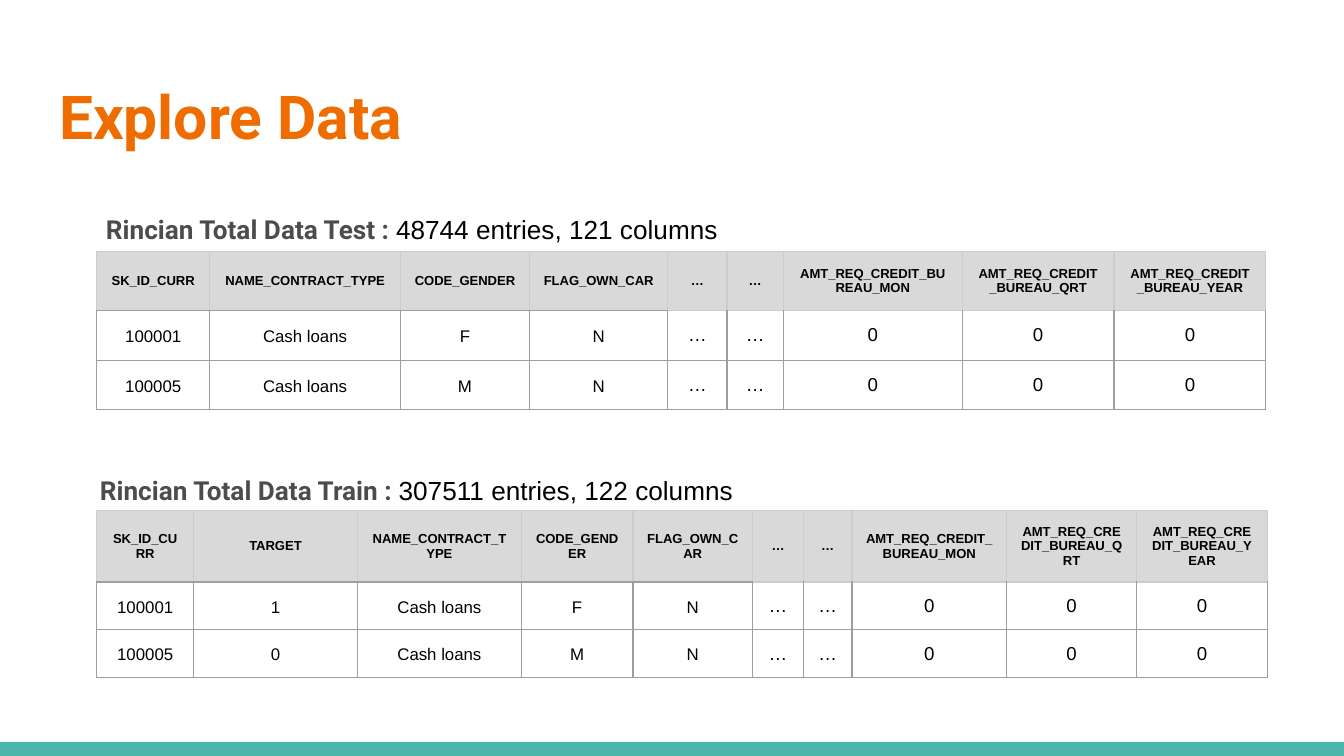
import dataclasses
import typing

import lxml.etree
import pptx
import pptx.dml.color
import pptx.enum.shapes
import pptx.enum.text
import pptx.oxml.ns
import pptx.util

Inches = pptx.util.Inches
Align = pptx.enum.text.PP_ALIGN
Anchor = pptx.enum.text.MSO_ANCHOR


@dataclasses.dataclass(frozen=True)
class Theme:
    orange: str = "EF6C00"
    teal: str = "4DB6AC"
    grey: str = "4C4C4C"
    black: str = "000000"
    head: str = "D9D9D9"
    pale: str = "CCCCCC"
    line: str = "9E9E9E"
    sans: str = "Arial"
    bold: str = "Roboto"
    title: float = 32.4
    label: float = 14
    small: float = 7
    body: float = 9
    large: float = 10
    edge: float = 0.75


THEME = Theme()


class Box(typing.NamedTuple):
    left: float
    top: float
    width: float
    height: float

    def size(self) -> list:
        return [Inches(n) for n in self]


@dataclasses.dataclass(frozen=True)
class Panel:
    name: str
    count: str
    label: Box
    align: Align
    left: float
    top: float
    widths: list
    heights: list
    heads: list
    rows: list


TAIL = ["…", "…"] + [f"AMT_REQ_CREDIT_BUREAU_{part}" for part in ("MON", "QRT", "YEAR")]
BLANK = ["…", "…", "0", "0", "0"]

PANELS = [
    Panel("Rincian Total Data Train : ", "307511 entries, 122 columns",
          Box(0.57, 3.42, 5.06, 0.44), Align.CENTER, 0.72, 3.8,
          [0.72, 1.22, 1.22, 0.83, 0.89, 0.38, 0.36, 1.15, 0.97, 0.97],
          [0.53, 0.35, 0.35],
          ["SK_ID_CURR", "TARGET", "NAME_CONTRACT_TYPE", "CODE_GENDER", "FLAG_OWN_CAR"],
          [["100001", "1", "Cash loans", "F", "N"],
           ["100005", "0", "Cash loans", "M", "N"]]),
    Panel("Rincian Total Data Test : ", "48744 entries, 121 columns",
          Box(0.69, 1.48, 4.95, 0.44), Align.LEFT, 0.72, 1.87,
          [0.84, 1.42, 0.96, 1.03, 0.44, 0.42, 1.33, 1.13, 1.13],
          [0.44, 0.37, 0.37],
          ["SK_ID_CURR", "NAME_CONTRACT_TYPE", "CODE_GENDER", "FLAG_OWN_CAR"],
          [["100001", "Cash loans", "F", "N"],
           ["100005", "Cash loans", "M", "N"]]),
]


def tint(code: str) -> pptx.dml.color.RGBColor:
    return pptx.dml.color.RGBColor.from_string(code)


def apply(item: typing.Any, form: dict) -> None:
    for key, value in form.items():
        setattr(item, key, value)


def pad(inset: float) -> dict:
    return {f"margin_{side}": Inches(inset) for side in ("left", "top", "right", "bottom")}


def write(para: typing.Any, text: str, size: float, face: str, code: str, bold: bool) -> None:
    run = para.add_run()
    run.text = text
    apply(run.font, {"size": pptx.util.Pt(size), "name": face, "bold": bold})
    run.font.color.rgb = tint(code)


def rule(cell: typing.Any, edges: dict) -> None:
    """Draw the cell borders; edges maps L, R, T and B to colours."""
    props = cell._tc.get_or_add_tcPr()
    for side, code in edges.items():
        line = lxml.etree.SubElement(props, pptx.oxml.ns.qn(f"a:ln{side}"),
                                     w=str(pptx.util.Pt(THEME.edge)))
        fill = lxml.etree.SubElement(line, pptx.oxml.ns.qn("a:solidFill"))
        lxml.etree.SubElement(fill, pptx.oxml.ns.qn("a:srgbClr"), val=code)


def draw_cell(cell: typing.Any, text: str, row: int, tail: bool) -> None:
    head = row == 0
    key = not head and not tail
    apply(cell, {"vertical_anchor": Anchor.MIDDLE, **pad(0.06 if key else 0.1)})
    para = cell.text_frame.paragraphs[0]
    form = {"alignment": Align.CENTER}
    if key:
        form.update(line_spacing=1.15, space_after=pptx.util.Pt(9))
    apply(para, form)
    size = THEME.small if head else THEME.large if tail else THEME.body
    write(para, text, size, THEME.sans, THEME.black, head)

    # The line under the header is pale only above the tail columns
    edges = dict.fromkeys("LRTB", THEME.pale if head else THEME.line)
    if row < 2:
        edges["B" if head else "T"] = THEME.pale if tail else THEME.line
    rule(cell, edges)
    if head:
        cell.fill.solid()
        cell.fill.fore_color.rgb = tint(THEME.head)
    else:
        cell.fill.background()


def draw_table(slide: typing.Any, panel: Panel) -> None:
    grid = [panel.heads + TAIL] + [row + BLANK for row in panel.rows]
    area = Box(panel.left, panel.top, sum(panel.widths), sum(panel.heights))
    table = slide.shapes.add_table(len(grid), len(grid[0]), *area.size()).table
    apply(table, {"first_row": False, "horz_banding": False})
    for col, width in zip(table.columns, panel.widths):
        col.width = Inches(width)
    for row, height in zip(table.rows, panel.heights):
        row.height = Inches(height)
    for r, line in enumerate(grid):
        for c, text in enumerate(line):
            draw_cell(table.cell(r, c), text, r, c >= len(panel.heads))


def draw_label(slide: typing.Any, panel: Panel) -> None:
    frame = slide.shapes.add_textbox(*panel.label.size()).text_frame
    apply(frame, {"word_wrap": True, **pad(0.1),
                  "auto_size": pptx.enum.text.MSO_AUTO_SIZE.SHAPE_TO_FIT_TEXT})
    para = frame.paragraphs[0]
    apply(para, {"alignment": panel.align, "line_spacing": 1.05})
    write(para, panel.name, THEME.label, THEME.bold, THEME.grey, True)
    write(para, panel.count, THEME.label, THEME.sans, THEME.black, False)


def draw_bar(slide: typing.Any) -> None:
    bar = slide.shapes.add_shape(pptx.enum.shapes.MSO_SHAPE.RECTANGLE,
                                 *Box(0, 5.52, 10, 0.11).size())
    bar.shadow.inherit = False
    bar.fill.solid()
    bar.fill.fore_color.rgb = tint(THEME.teal)
    bar.line.fill.background()


def draw_title(slide: typing.Any, text: str) -> None:
    title = slide.shapes.title
    area = Box(0.34, 0.49, 9.32, 0.77)
    apply(title, dict(zip(area._fields, area.size())))
    apply(title.text_frame, {"word_wrap": True, "vertical_anchor": Anchor.TOP, **pad(0.1),
                             "auto_size": pptx.enum.text.MSO_AUTO_SIZE.NONE})
    para = title.text_frame.paragraphs[0]
    para.alignment = Align.LEFT
    write(para, text, THEME.title, THEME.bold, THEME.orange, True)


def main() -> None:
    deck = pptx.Presentation()
    # A 16:9 page, ten inches wide
    apply(deck, {"slide_width": Inches(10), "slide_height": Inches(10 * 9 / 16)})
    slide = deck.slides.add_slide(deck.slide_layouts[5])

    # Title and footer bar
    draw_title(slide, "Explore Data")
    draw_bar(slide)

    # One label and table per data set
    for panel in PANELS:
        draw_table(slide, panel)
        draw_label(slide, panel)
    deck.save("out.pptx")


if __name__ == "__main__":
    main()
